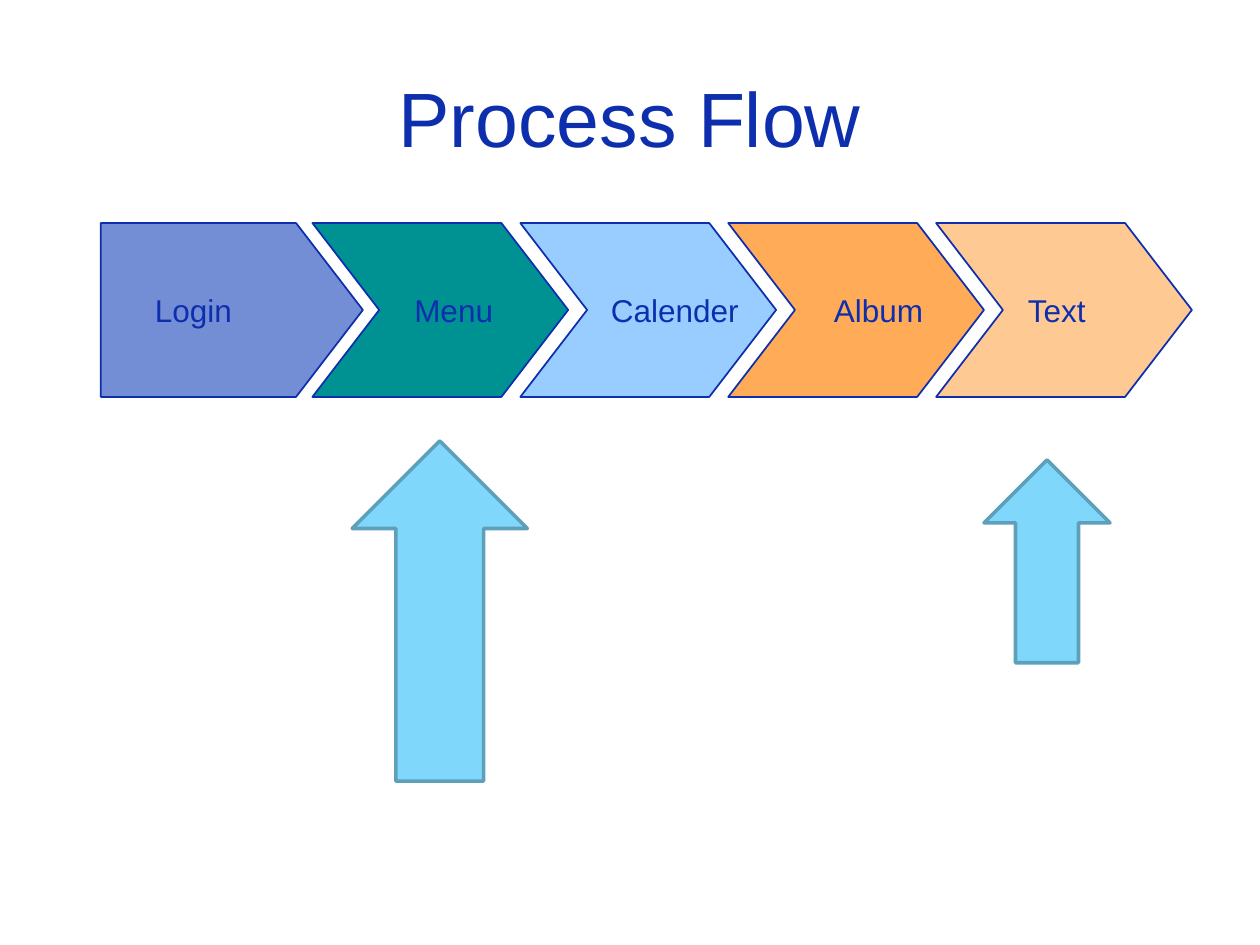
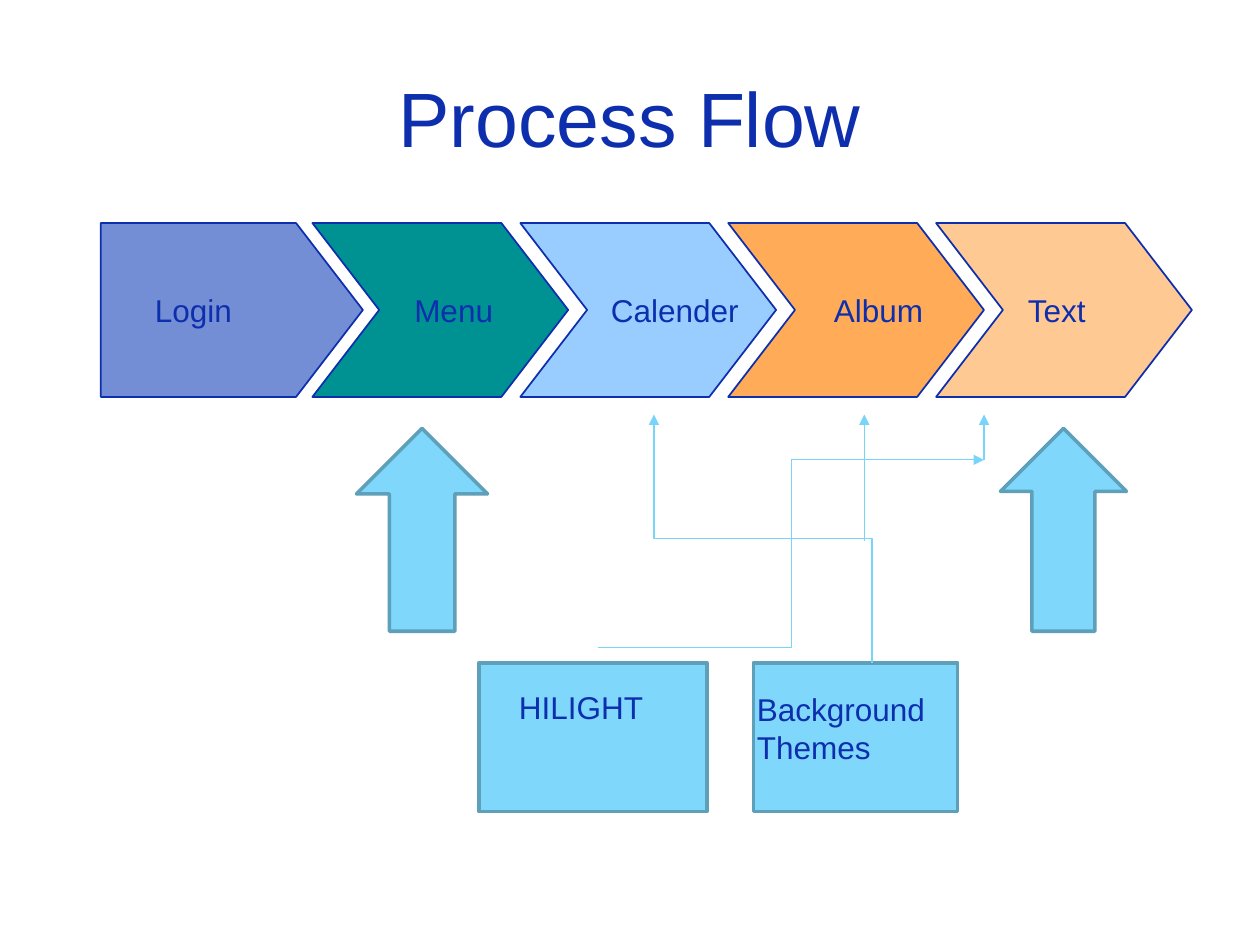
from lxml import etree
from pptx import Presentation
from pptx.dml.color import RGBColor
from pptx.enum.shapes import MSO_CONNECTOR, MSO_SHAPE
from pptx.enum.text import MSO_ANCHOR, MSO_AUTO_SIZE, PP_ALIGN
from pptx.oxml.ns import qn
from pptx.util import Inches, Pt

NAVY = RGBColor(0x0E, 0x2F, 0xAD)
SKY = RGBColor(0x7F, 0xD7, 0xFC)
STEEL = RGBColor(0x5E, 0x9F, 0xBA)
LINK_BLUE = RGBColor(0x79, 0xD4, 0xF9)

# label, label left, label width, fill
STEPS = [
    ("Login", 1.13, 0.82, RGBColor(0x74, 0x8E, 0xD6)),
    ("Menu", 3.19, 0.83, RGBColor(0x00, 0x91, 0x93)),
    ("Calender", 4.75, 1.23, RGBColor(0x99, 0xCC, 0xFF)),
    ("Album", 6.52, 0.92, RGBColor(0xFF, 0xAB, 0x57)),
    ("Text", 8.06, 0.67, RGBColor(0xFF, 0xC9, 0x93)),
]
STEP_TOP, STEP_BOTTOM = 1.77, 3.15
STEP_POINT = 0.53
STEP_PITCH = 1.65
FIRST_LEFT, FIRST_TIP = 0.8, 2.88
CHEVRON_LEFT, CHEVRON_WIDTH = 2.48, 2.03


def style_shape(s, fill, line, width):
    s.shadow.inherit = False
    s.fill.solid()
    s.fill.fore_color.rgb = fill
    s.line.color.rgb = line
    s.line.width = Pt(width)


def add_text(slide, lines, left, top, width, height, size=18, wrap=True,
             align=PP_ALIGN.LEFT, **frame_format):
    tf = slide.shapes.add_textbox(*map(Inches, (left, top, width, height))).text_frame
    tf.word_wrap = wrap
    for name, value in frame_format.items():
        setattr(tf, name, value)
    for i, line in enumerate(lines):
        p = tf.add_paragraph() if i else tf.paragraphs[0]
        p.alignment = align
        r = p.add_run()
        r.text = line
        for name, value in {"name": "Arial", "size": Pt(size)}.items():
            setattr(r.font, name, value)
        r.font.color.rgb = NAVY


def add_label(slide, lines, left, top, width, height, wrap=True):
    add_text(slide, lines, left, top, width, height, wrap=wrap,
             auto_size=MSO_AUTO_SIZE.SHAPE_TO_FIT_TEXT)


def add_step(slide, left, tip, fill, notched):
    """Draw one band of the flow, pointing right, with an optional notch on its left."""
    middle = (STEP_TOP + STEP_BOTTOM) / 2
    shoulder = tip - STEP_POINT
    points = [(shoulder, STEP_TOP), (tip, middle),
              (shoulder, STEP_BOTTOM), (left, STEP_BOTTOM)]
    if notched:
        points.append((left + STEP_POINT, middle))
    builder = slide.shapes.build_freeform(Inches(left), Inches(STEP_TOP))
    builder.add_line_segments([(Inches(x), Inches(y)) for x, y in points], close=True)
    style_shape(builder.convert_to_shape(), fill, NAVY, 1)


def add_block(slide, preset, left, top, width, height):
    s = slide.shapes.add_shape(preset, *map(Inches, (left, top, width, height)))
    style_shape(s, SKY, STEEL, 2)


def add_up_arrow(slide, center, top, width, height):
    add_block(slide, MSO_SHAPE.UP_ARROW, center - width / 2, top, width, height)


def add_link(slide, kind, x1, y1, x2, y2):
    link = slide.shapes.add_connector(kind, *map(Inches, (x1, y1, x2, y2)))
    link.line.color.rgb = LINK_BLUE
    link.line.width = Pt(0.75)
    sp_pr = link._element.spPr
    etree.SubElement(sp_pr.find(qn("a:ln")), qn("a:tailEnd"), type="triangle")
    etree.SubElement(sp_pr, qn("a:effectLst"))
    return link


def add_rising_link(slide, x1, y1, x2, y2):
    """Draw an elbow that leaves upwards: a sideways elbow turned by 270 degrees."""
    cx, cy = (x1 + x2) / 2, (y1 + y2) / 2
    half_width, half_height = (y1 - y2) / 2, (x1 - x2) / 2
    link = add_link(slide, MSO_CONNECTOR.ELBOW, cx - half_width, cy + half_height,
                    cx + half_width, cy - half_height)
    link._element.spPr.find(qn("a:xfrm")).set("rot", str(270 * 60000))


def add_flow_slide(prs):
    """Add a slide with the title and the five steps."""
    slide = prs.slides.add_slide(prs.slide_layouts[6])
    add_text(slide, ["Process Flow"], 0.5, 0.3, 9, 1.25, size=44,
             align=PP_ALIGN.CENTER, vertical_anchor=MSO_ANCHOR.MIDDLE)
    for i, (label, label_left, label_width, fill) in enumerate(STEPS):
        if i == 0:
            left, tip = FIRST_LEFT, FIRST_TIP
        else:
            left = CHEVRON_LEFT + (i - 1) * STEP_PITCH
            tip = left + CHEVRON_WIDTH
        add_step(slide, left, tip, fill, notched=i > 0)
        add_label(slide, [label], label_left, 2.26, label_width, 0.4, wrap=False)
    return slide


def add_feature_boxes(slide):
    add_block(slide, MSO_SHAPE.RECTANGLE, 5.98, 5.26, 1.62, 1.18)
    add_label(slide, ["Background", "Themes"], 5.91, 5.43, 1.9, 0.71)
    add_block(slide, MSO_SHAPE.RECTANGLE, 3.8, 5.26, 1.81, 1.18)
    add_label(slide, ["HILIGHT"], 4.02, 5.41, 1.59, 0.4)


def add_feature_links(slide):
    link_top = 3.29
    add_link(slide, MSO_CONNECTOR.ELBOW, 4.75, 5.14, 7.81, 3.65)
    add_link(slide, MSO_CONNECTOR.STRAIGHT, 7.81, 3.65, 7.81, link_top)
    add_rising_link(slide, 6.92, 5.26, 5.19, link_top)
    add_link(slide, MSO_CONNECTOR.STRAIGHT, 6.86, 4.29, 6.86, link_top)


def main():
    prs = Presentation()
    prs.slide_width, prs.slide_height = Inches(10), Inches(7.5)

    overview = add_flow_slide(prs)
    add_up_arrow(overview, 3.49, 3.5, 1.39, 2.7)
    add_up_arrow(overview, 8.31, 3.65, 1, 1.61)

    features = add_flow_slide(prs)
    add_up_arrow(features, 3.35, 3.4, 1.04, 1.61)
    add_up_arrow(features, 8.44, 3.4, 1, 1.61)
    add_feature_boxes(features)
    add_feature_links(features)

    prs.save("out.pptx")


if __name__ == "__main__":
    main()
